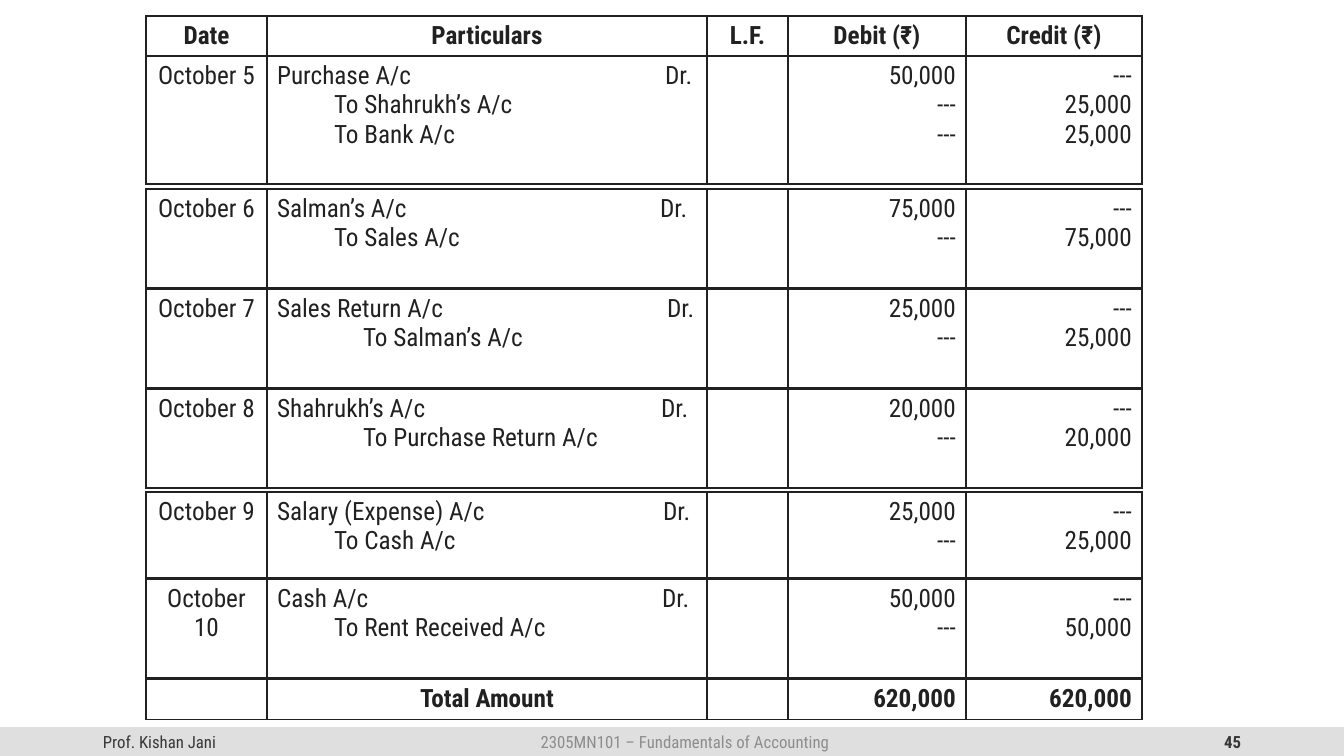
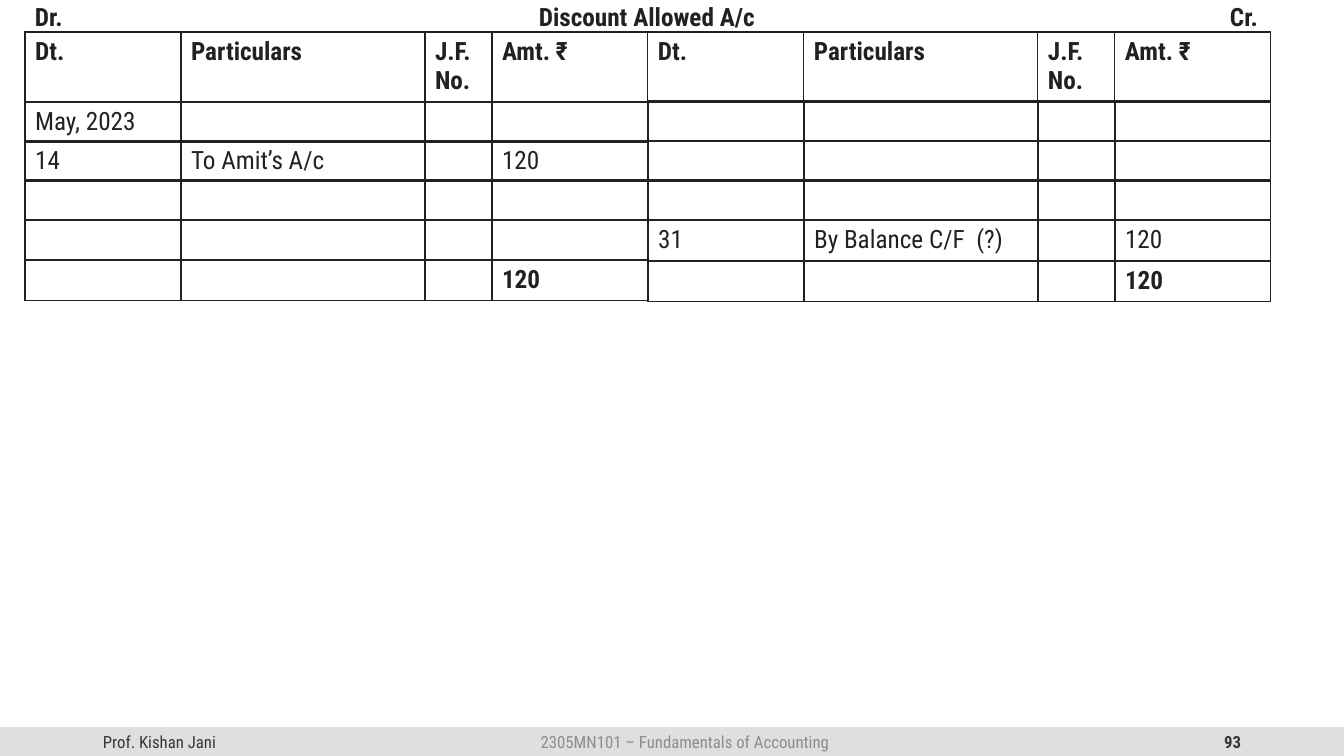
from lxml import etree
from pptx import Presentation
from pptx.dml.color import RGBColor
from pptx.enum.shapes import MSO_CONNECTOR, MSO_SHAPE
from pptx.enum.text import MSO_ANCHOR, PP_ALIGN
from pptx.oxml.ns import qn
from pptx.util import Pt

LEFT, CENTER, RIGHT = PP_ALIGN.LEFT, PP_ALIGN.CENTER, PP_ALIGN.RIGHT
TOP, MIDDLE = MSO_ANCHOR.TOP, MSO_ANCHOR.MIDDLE
RECTANGLE = MSO_SHAPE.RECTANGLE
STRAIGHT = MSO_CONNECTOR.STRAIGHT

SLIDE_W, SLIDE_H = 1344, 756
EMU_PER_PX = 12192000 / SLIDE_W
FONT = "Roboto Condensed"
COLORS = {
    "ink": "212121",
    "band": "DFDFDF",
    "band_line": "BFBFBF",
    "footer": "373737",
    "course": "8D8D8D",
}
BODY_SIZE, FOOTER_SIZE = 18, 12
ROW_H = 40
BAND_TOP = 728

# Journal: top, height, date, debited account, start of "Dr.", indent,
# credited accounts, debit amounts, credit amounts
JOURNAL_X = 146
JOURNAL_COLS = [121, 440, 81, 178, 176]
NIL = "---"
JOURNAL_ENTRIES = [
    (56, 128, "October 5", "Purchase A/c", 388, 57,
     ["To Shahrukh’s A/c", "To Bank A/c"],
     ["50,000", NIL, NIL], [NIL, "25,000", "25,000"]),
    (189, 99, "October 6", "Salman’s A/c", 383, 57,
     ["To Sales A/c"], ["75,000", NIL], [NIL, "75,000"]),
    (289, 99, "October 7", "Sales Return A/c", 390, 86,
     ["To Salman’s A/c"], ["25,000", NIL], [NIL, "25,000"]),
    (389, 99, "October 8", "Shahrukh’s A/c", 384, 86,
     ["To Purchase Return A/c"], ["20,000", NIL], [NIL, "20,000"]),
    (492, 86, "October 9", "Salary (Expense) A/c", 386, 57,
     ["To Cash A/c"], ["25,000", NIL], [NIL, "25,000"]),
    (579, 99, "October 10", "Cash A/c", 385, 57,
     ["To Rent Received A/c"], ["50,000", NIL], [NIL, "50,000"]),
]

# Ledger: each side has its columns, row tops and row texts
LEDGER_X = 25
LEDGER_HEADINGS = ["Dt.", "Particulars", ["J.F.", "No."], "Amt. ₹"]
BLANK_ROW = ["", "", "", ""]
TOTAL_ROW = ["", "", "", "120"]
DEBIT_COLS = [156, 244, 67, 156]
CREDIT_COLS = [156, 234, 77, 156]
LEDGER_SIDES = [
    (LEDGER_X, DEBIT_COLS, [102, 141, 180, 220, 260],
     [["May, 2023", "", "", ""], ["14", "To Amit’s A/c", "", "120"],
      BLANK_ROW, BLANK_ROW, TOTAL_ROW]),
    (LEDGER_X + sum(DEBIT_COLS), CREDIT_COLS, [101, 141, 180, 220, 261],
     [BLANK_ROW, BLANK_ROW, BLANK_ROW,
      ["31", "By Balance C/F  (?)", "", "120"], TOTAL_ROW]),
]


def px(length):
    return round(length * EMU_PER_PX)


def rgb(name):
    return RGBColor.from_string(COLORS[name])


def add_run(paragraph, text, size=BODY_SIZE, color="ink", bold=False):
    run = paragraph.add_run()
    run.text = text
    run.font.name = FONT
    run.font.size = Pt(size)
    run.font.bold = bold
    run.font.color.rgb = rgb(color)


def set_tabs(paragraph, stops):
    """Add tab stops given as (position, alignment code)."""
    tab_list = etree.SubElement(paragraph._p.get_or_add_pPr(), qn("a:tabLst"))
    for position, alignment in stops:
        etree.SubElement(tab_list, qn("a:tab"), pos=str(px(position)), algn=alignment)


def add_text(slide, box, text, align=LEFT, anchor=MIDDLE, tabs=(), **style):
    label = slide.shapes.add_textbox(*map(px, box))
    frame = label.text_frame
    frame.word_wrap = True
    frame.vertical_anchor = anchor
    paragraph = frame.paragraphs[0]
    paragraph.alignment = align
    if tabs:
        set_tabs(paragraph, tabs)
    add_run(paragraph, text, **style)


def set_borders(cell):
    properties = cell._tc.get_or_add_tcPr()
    for position, side in enumerate(("a:lnL", "a:lnR", "a:lnT", "a:lnB")):
        border = etree.Element(qn(side), w=str(Pt(1)))
        fill = etree.SubElement(border, qn("a:solidFill"))
        etree.SubElement(fill, qn("a:srgbClr"), val=COLORS["ink"])
        properties.insert(position, border)


def fill_cell(cell, content, align, bold, indent=0, tab=None):
    """Write one line per paragraph; lines after the first are indented."""
    cell.fill.background()
    set_borders(cell)
    lines = [content] if isinstance(content, str) else content
    for number, line in enumerate(lines):
        frame = cell.text_frame
        paragraph = frame.add_paragraph() if number else frame.paragraphs[0]
        paragraph.alignment = align
        if number and indent:
            paragraph._p.get_or_add_pPr().set("marL", str(px(indent)))
        if "\t" in line:
            set_tabs(paragraph, [(tab, "l")])
        if line:
            add_run(paragraph, line, bold=bold)
        else:
            end = etree.SubElement(paragraph._p, qn("a:endParaRPr"),
                                   sz=str(BODY_SIZE * 100))
            etree.SubElement(end, qn("a:latin"), typeface=FONT)


def add_row_table(slide, x, y, height, columns, contents, aligns=None,
                  bold=False, **particulars):
    """Add a one-row table; extra settings go to the second column."""
    frame = slide.shapes.add_table(1, len(columns), px(x), px(y),
                                   px(sum(columns)), px(height))
    table = frame.table
    table.first_row = table.horz_banding = False
    table.rows[0].height = px(height)
    aligns = aligns or [LEFT] * len(columns)
    for index, (width, content, align) in enumerate(zip(columns, contents, aligns)):
        table.columns[index].width = px(width)
        extra = particulars if index == 1 else {}
        fill_cell(table.cell(0, index), content, align, bold, **extra)


def add_footer(slide, number):
    # Rule along the band
    rule = slide.shapes.add_connector(STRAIGHT, 0, px(BAND_TOP), px(SLIDE_W), px(BAND_TOP))
    rule.line.color.rgb = rgb("band_line")
    rule.line.width = Pt(1)
    color = rule._element.spPr.find(".//" + qn("a:srgbClr"))
    etree.SubElement(color, qn("a:alpha"), val="70000")
    etree.SubElement(rule._element.spPr, qn("a:effectLst"))
    # Band
    height = SLIDE_H - BAND_TOP
    band = slide.shapes.add_shape(RECTANGLE, 0, px(BAND_TOP), px(SLIDE_W), px(height))
    band.shadow.inherit = False
    band.fill.solid()
    band.fill.fore_color.rgb = rgb("band")
    band.line.fill.background()
    # Author, page number and course
    for x, width, text, align, color, bold in (
        (93, 302, "Prof. Kishan Jani", LEFT, "footer", False),
        (949, 302, str(number), RIGHT, "footer", True),
        (421, 528, "2305MN101 – Fundamentals of Accounting", CENTER, "course", False),
    ):
        add_text(slide, (x, BAND_TOP, width, height), text, align,
                 size=FOOTER_SIZE, color=color, bold=bold)


def add_slide(deck, number):
    slide = deck.slides.add_slide(deck.slide_layouts[6])
    add_footer(slide, number)
    return slide


def build_journal(slide):
    # Headings
    add_row_table(slide, JOURNAL_X, 16, ROW_H, JOURNAL_COLS,
                  ["Date", "Particulars", "L.F.", "Debit (₹)", "Credit (₹)"],
                  [CENTER] * 5, bold=True)
    # Entries
    for top, height, date, account, dr_start, indent, credited, debits, credits in JOURNAL_ENTRIES:
        add_row_table(slide, JOURNAL_X, top, height, JOURNAL_COLS,
                      [date, [account + "\tDr.", *credited], "", debits, credits],
                      [CENTER, LEFT, LEFT, RIGHT, RIGHT],
                      indent=indent, tab=dr_start)
    # Total
    add_row_table(slide, JOURNAL_X, 679, ROW_H, JOURNAL_COLS,
                  ["", "Total Amount", "", "620,000", "620,000"],
                  [CENTER, CENTER, LEFT, RIGHT, RIGHT], bold=True)


def build_ledger(slide):
    # Headings
    columns = DEBIT_COLS + CREDIT_COLS
    add_row_table(slide, LEDGER_X, 32, 70, columns, LEDGER_HEADINGS * 2, bold=True)
    # Account title
    add_text(slide, (LEDGER_X, -4, sum(columns), ROW_H),
             "Dr.\tDiscount Allowed A/c\tCr.", anchor=TOP,
             tabs=[(612, "ctr"), (1223, "r")], bold=True)
    # Debit and credit sides
    for x, side_columns, tops, rows in LEDGER_SIDES:
        for top, row in zip(tops, rows):
            add_row_table(slide, x, top, ROW_H, side_columns, row,
                          bold=row is TOTAL_ROW)


def main():
    deck = Presentation()
    deck.slide_width, deck.slide_height = px(SLIDE_W), px(SLIDE_H)
    build_journal(add_slide(deck, 45))
    build_ledger(add_slide(deck, 93))
    deck.save("out.pptx")


if __name__ == "__main__":
    main()
